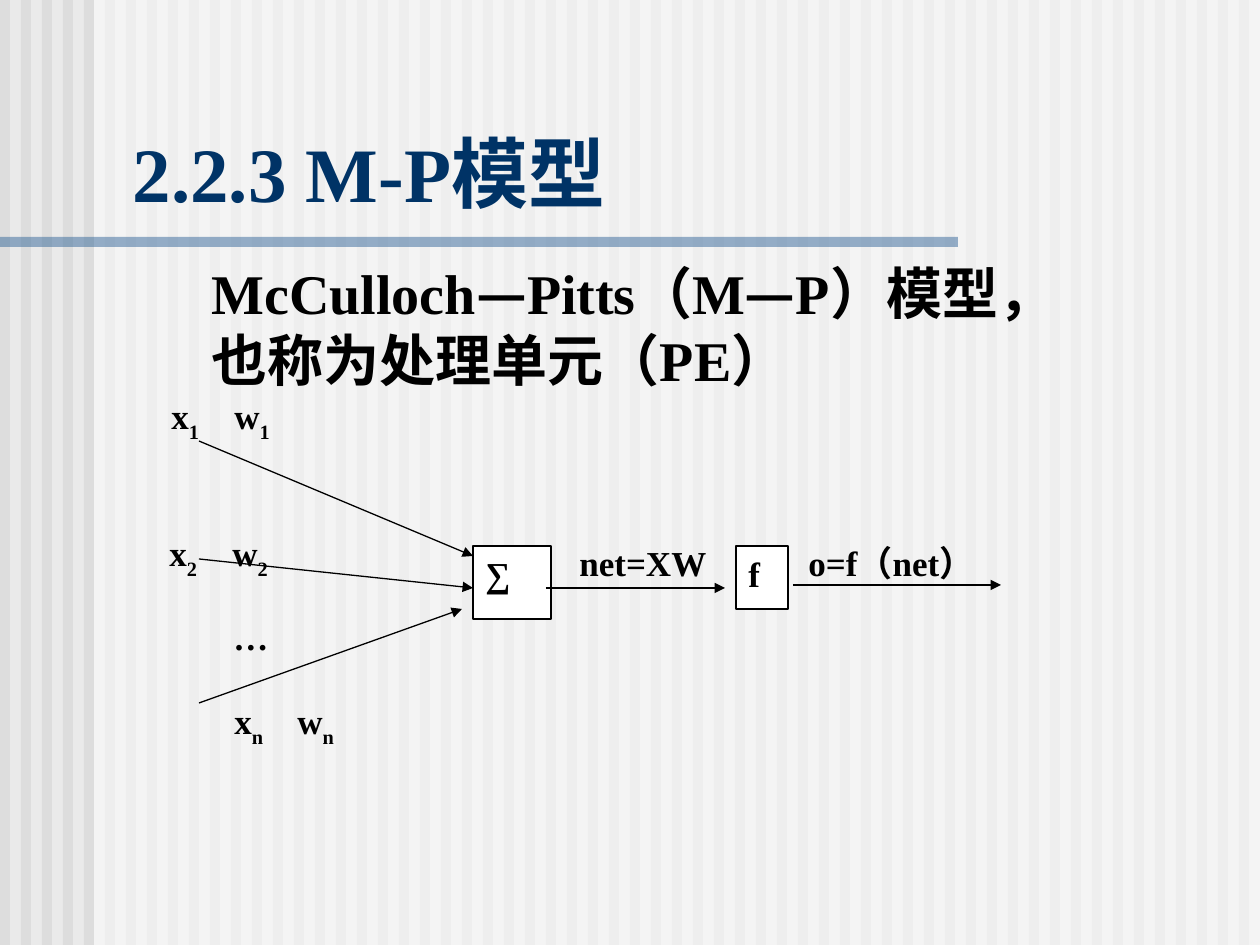
from lxml import etree
from pptx import Presentation
from pptx.dml.color import RGBColor
from pptx.enum.shapes import MSO_CONNECTOR, MSO_SHAPE
from pptx.enum.text import MSO_ANCHOR, MSO_AUTO_SIZE, PP_ALIGN
from pptx.oxml.ns import qn
from pptx.util import Pt

RECT = MSO_SHAPE.RECTANGLE
LINE = MSO_CONNECTOR.STRAIGHT
LEFT, TOP, BOTTOM = PP_ALIGN.LEFT, MSO_ANCHOR.TOP, MSO_ANCHOR.BOTTOM
GROW = MSO_AUTO_SIZE.SHAPE_TO_FIT_TEXT
SERIF, HAN = "Times New Roman", "Noto Sans CJK SC"
PX = 914400 / 126
color = RGBColor.from_string

deck = Presentation()
deck.slide_width, deck.slide_height = int(1260 * PX), int(945 * PX)
slide = deck.slides.add_slide(deck.slide_layouts[5])
shapes = slide.shapes


def rect(x, y, w, h, fill, alpha=None):
    box = shapes.add_shape(RECT, *(int(v * PX) for v in (x, y, w, h)))
    box.shadow.inherit = False
    box.fill.solid()
    box.fill.fore_color.rgb = color(fill)
    box.line.fill.background()
    if alpha:
        tint = box.fill._xPr.find(qn("a:solidFill"))[0]
        etree.SubElement(tint, qn("a:alpha"), val=str(alpha * 1000))
    return box


def write(frame, parts, size, ink="000000", sub=False):
    """Every second part is a subscript if sub is set, else Chinese."""
    para = frame.paragraphs[0]
    para.alignment = LEFT
    for i, part in enumerate(parts):
        run = para.add_run()
        run.text = part
        font = run.font
        font.size, font.bold = Pt(size), True
        font.color.rgb = color(ink)
        font.name = HAN if i % 2 and not sub else SERIF
        props = run._r.get_or_add_rPr()
        etree.SubElement(props, qn("a:ea"), typeface=HAN)
        if sub and i % 2:
            props.set("baseline", "-30000")


# Striped background, pale panel and rule
slide.background.fill.solid()
slide.background.fill.fore_color.rgb = color("EAEAEA")
for i in range(60):
    rect(i * 21, 0, 10, 945, "DDDDDD")
rect(94, 0, 1166, 945, "FFFFFF", 50)
rect(0, 237, 958, 10, "336699", 50)

# Title, brought in front of the background
title = shapes.title
shapes._spTree.append(title._element)
title.left, title.top = int(120 * PX), int(118 * PX)
title.width, title.height = int(1125 * PX), int(106 * PX)
title.text_frame.vertical_anchor = BOTTOM
title.text_frame.auto_size = GROW
write(title.text_frame, ["2.2.3 M-P", "模型"], 44, "003366")

# Sum and transfer boxes
for x, y, w, h, sign in [(473, 546, 78, 73, "∑"), (736, 546, 52, 63, "f")]:
    box = rect(x, y, w, h, "FFFFFF")
    box.line.color.rgb = color("000000")
    box.line.width = Pt(0.75)
    box.text_frame.vertical_anchor = TOP
    write(box.text_frame, [sign], 20)

# Arrows: three inputs, net value, output
for ends in [(199, 441, 473, 556), (199, 559, 473, 588), (199, 703, 462, 609),
             (546, 588, 725, 588), (793, 585, 1001, 585)]:
    arrow = shapes.add_connector(LINE, *(int(v * PX) for v in ends))
    arrow.line.color.rgb = color("000000")
    arrow.line.width = Pt(0.75)
    etree.SubElement(arrow.line._get_or_add_ln(), qn("a:tailEnd"), type="triangle")
    etree.SubElement(arrow._element.spPr, qn("a:effectLst"))

# Body text and labels; a tab sets each weight apart from its input
for x, y, w, h, size, sub, parts in [
    (199, 252, 872, 147, 32, False,
     ["McCulloch", "—", "Pitts", "（", "M", "—", "P",
      "）模型，也称为处理单元（", "PE", "）"]),
    (159, 388, 140, 63, 20, True, ["x", "1", "\tw", "1"]),
    (157, 525, 140, 63, 20, True, ["x", "2", "\tw", "2"]),
    (222, 693, 140, 63, 20, True, ["x", "n", "\tw", "n"]),
    (221, 609, 60, 55, 20, False, ["…"]),
    (567, 535, 152, 55, 20, False, ["net=XW"]),
    (796, 535, 217, 55, 20, False, ["o=f", "（", "net", "）"]),
]:
    label = shapes.add_textbox(*(int(v * PX) for v in (x, y, w, h)))
    frame = label.text_frame
    frame.word_wrap, frame.auto_size = True, GROW
    if sub:
        stops = etree.SubElement(frame.paragraphs[0]._p.get_or_add_pPr(), qn("a:tabLst"))
        etree.SubElement(stops, qn("a:tab"), pos=str(int(63 * PX)), algn="l")
    write(frame, parts, size, sub=sub)

deck.save("out.pptx")
